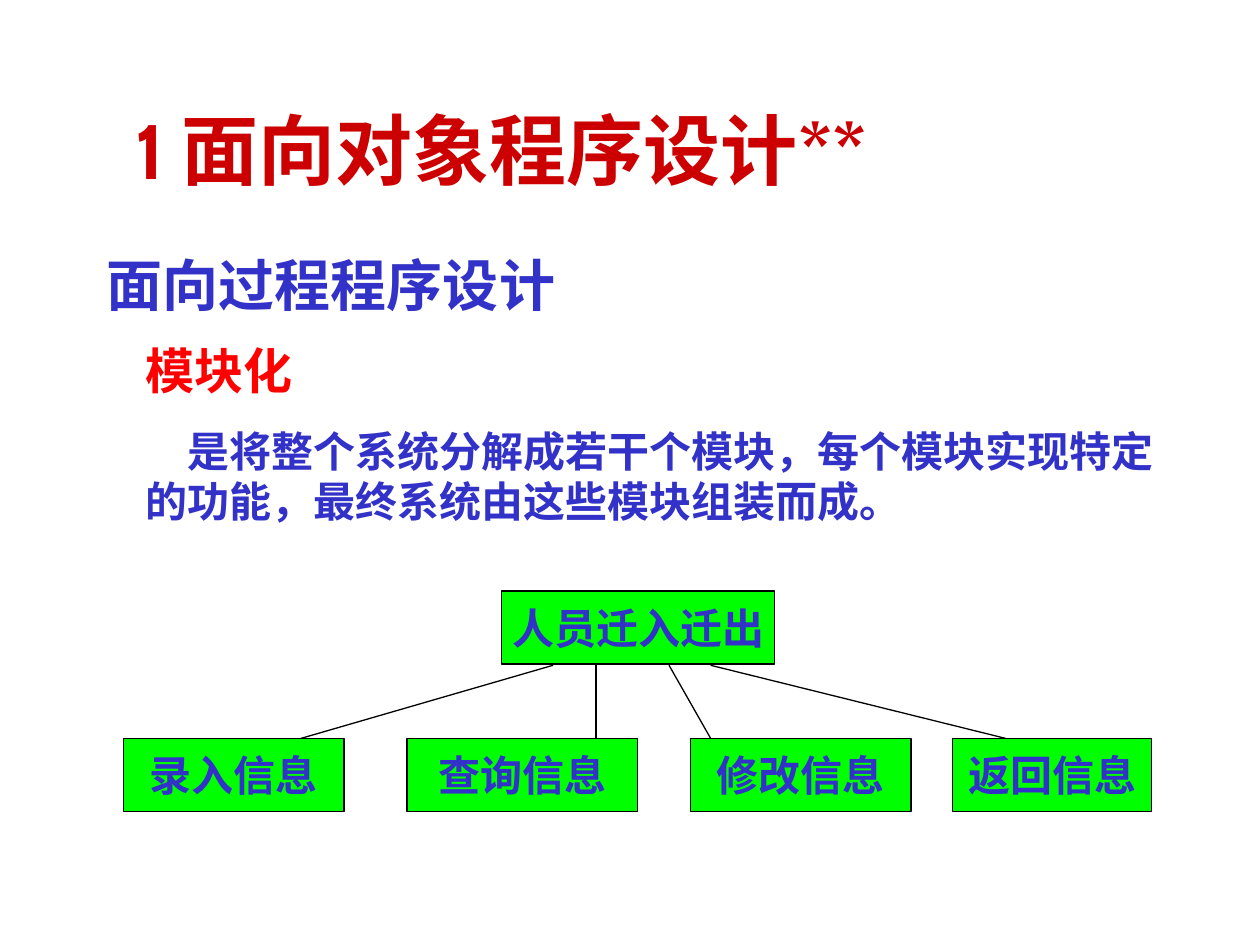
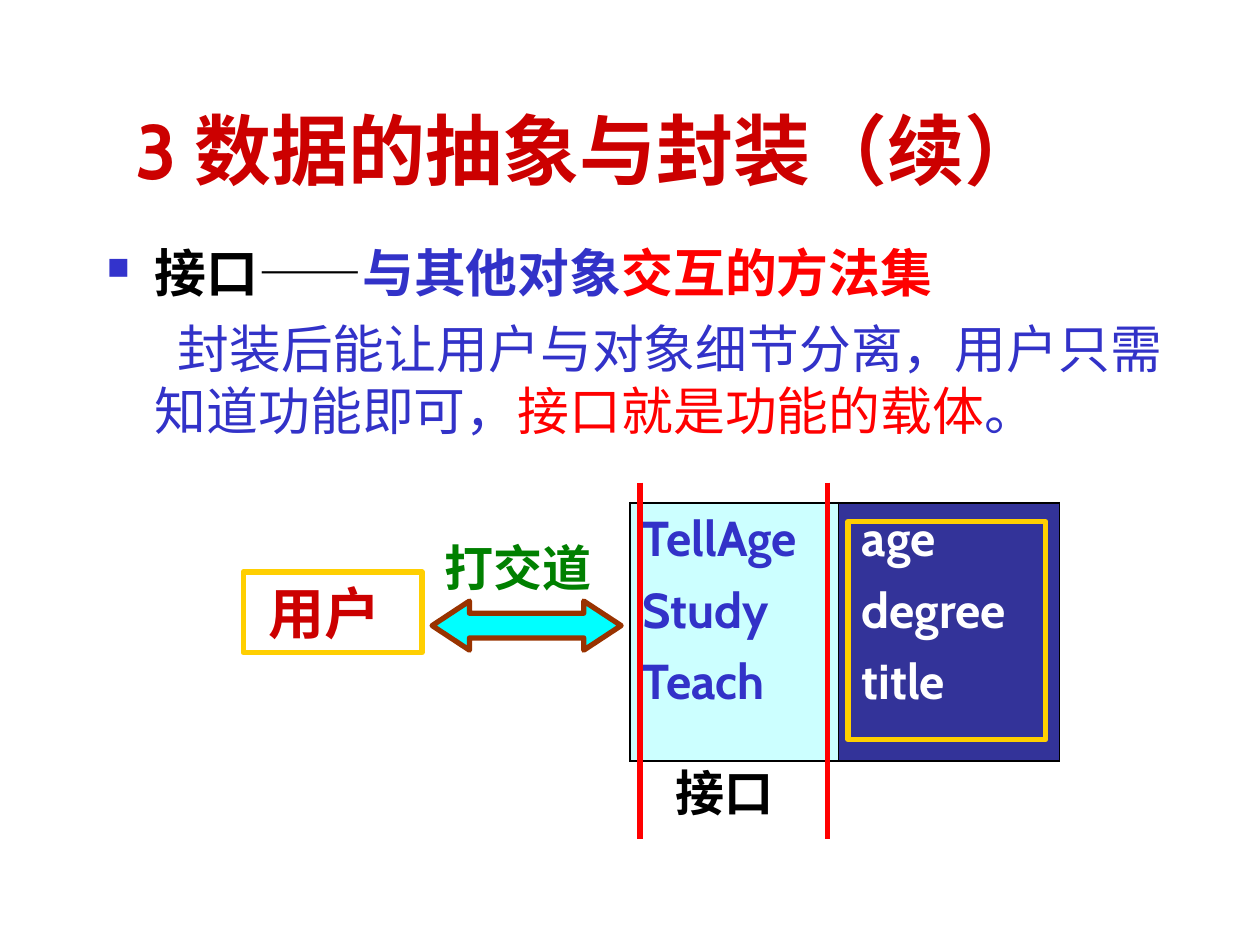
from dataclasses import dataclass

from lxml import etree
from pptx import Presentation
from pptx.dml.color import RGBColor
from pptx.enum.shapes import MSO_CONNECTOR, MSO_SHAPE
from pptx.enum.text import MSO_ANCHOR, PP_ALIGN
from pptx.oxml.ns import qn
from pptx.util import Inches, Pt

RECTANGLE = MSO_SHAPE.RECTANGLE
DOUBLE_ARROW = MSO_SHAPE.LEFT_RIGHT_ARROW
STRAIGHT = MSO_CONNECTOR.STRAIGHT
TOP, MIDDLE, BOTTOM = MSO_ANCHOR.TOP, MSO_ANCHOR.MIDDLE, MSO_ANCHOR.BOTTOM
LEFT, CENTER = PP_ALIGN.LEFT, PP_ALIGN.CENTER


@dataclass(frozen=True)
class Theme:
    # Fonts
    sans: str = "Cabin"
    serif: str = "Times New Roman"
    # Colours
    title: str = "CC0000"
    text: str = "3232C8"
    bullet: str = "3333CC"
    accent: str = "FF0000"
    black: str = "000000"
    white: str = "FFFFFF"
    module: str = "00FF00"
    label: str = "008000"
    methods: str = "CCFFFF"
    data: str = "333399"
    frame: str = "FFCF01"
    arrow: str = "00FFFF"
    arrow_edge: str = "993300"
    # Type sizes and line widths in points
    title_size: float = 44
    heading_size: float = 32
    body_size: float = 29.6
    term_size: float = 28
    detail_size: float = 24
    thin: float = 0.75
    thick: float = 3


THEME = Theme()


def color(value):
    return RGBColor.from_string(value)


# Text
def add_span(para, text, *, size=THEME.term_size, ink=THEME.text,
             font=THEME.sans, bold=True):
    span = para.add_run()
    span.text = text
    span.font.size = Pt(size)
    span.font.name = font
    span.font.bold = bold
    span.font.color.rgb = color(ink)


def add_para(frame, text="", *, first=False, before=0, align=LEFT, margin=0,
             indent=0, **span_format):
    para = frame.paragraphs[0] if first else frame.add_paragraph()
    para.alignment = align
    if before:
        para.space_before = Pt(before)
    properties = para._p.get_or_add_pPr()
    properties.set("marL", str(Inches(margin)))
    properties.set("indent", str(Inches(indent)))
    if text:
        add_span(para, text, **span_format)
    return para


def add_bullet(para, mark, ink, percent):
    properties = para._p.get_or_add_pPr()
    bullet_color = etree.SubElement(properties, qn("a:buClr"))
    etree.SubElement(bullet_color, qn("a:srgbClr"), val=ink)
    etree.SubElement(properties, qn("a:buSzPct"), val=str(percent * 1000))
    etree.SubElement(properties, qn("a:buChar"), char=mark)


def add_text_box(page, left, top, width, height, anchor=TOP):
    frame = page.shapes.add_textbox(Inches(left), Inches(top), Inches(width),
                                    Inches(height)).text_frame
    frame.word_wrap = True
    frame.vertical_anchor = anchor
    return frame


def add_page(deck, title):
    page = deck.slides.add_slide(deck.slide_layouts[6])
    frame = add_text_box(page, 0.98, 0.6, 8.52, 1, BOTTOM)
    add_para(frame, title, first=True, size=THEME.title_size, ink=THEME.title)
    return page


# Shapes
def add_box(page, left, top, width, height, *, kind=RECTANGLE, fill=None,
            edge=THEME.black, weight=THEME.thin):
    box = page.shapes.add_shape(kind, Inches(left), Inches(top),
                                Inches(width), Inches(height))
    box.shadow.inherit = False
    if fill:
        box.fill.solid()
        box.fill.fore_color.rgb = color(fill)
    else:
        box.fill.background()
    box.line.color.rgb = color(edge)
    box.line.width = Pt(weight)
    return box


def add_module(page, text, left, top, width):
    frame = add_box(page, left, top, width, 0.58, fill=THEME.module).text_frame
    frame.word_wrap = False
    frame.vertical_anchor = MIDDLE
    add_para(frame, text, first=True, align=CENTER, size=THEME.detail_size,
             font=THEME.serif)


def add_line(page, start, end, ink=THEME.black, weight=THEME.thin):
    line = page.shapes.add_connector(STRAIGHT, *map(Inches, start + end))
    line.line.color.rgb = color(ink)
    line.line.width = Pt(weight)
    etree.SubElement(line._element.spPr, qn("a:effectLst"))


# Table
def set_borders(cell, **widths):
    properties = cell._tc.get_or_add_tcPr()
    for position, side in enumerate("LRTB"):
        border = etree.Element(qn(f"a:ln{side}"), w=str(Pt(widths[side])))
        fill = etree.SubElement(border, qn("a:solidFill"))
        etree.SubElement(fill, qn("a:srgbClr"), val=THEME.black)
        properties.insert(position, border)


def add_object_table(page, left, top, height, columns):
    outer, inner = 1.08, 0.45
    total = sum(width for width, *_ in columns)
    table = page.shapes.add_table(1, len(columns), Inches(left), Inches(top),
                                  Inches(total), Inches(height)).table
    table.first_row = table.horz_banding = False
    for index, (width, names, fill, ink, margin) in enumerate(columns):
        table.columns[index].width = Inches(width)
        cell = table.cell(0, index)
        cell.fill.solid()
        cell.fill.fore_color.rgb = color(fill)
        for row, name in enumerate(names):
            add_para(cell.text_frame, name, first=row == 0,
                     before=7 if row else 0, margin=margin, ink=ink)
        set_borders(cell, L=inner if index else outer,
                    R=outer if index == len(columns) - 1 else inner,
                    T=outer, B=outer)


# Pages
def build_modules_page(deck):
    page = add_page(deck, "1 面向对象程序设计**")
    frame = add_text_box(page, 1.06, 2.65, 8.43, 1.58)
    add_para(frame, "模块化", first=True, ink=THEME.accent)
    add_para(frame, "是将整个系统分解成若干个模块，每个模块实现特定的功能，"
             "最终系统由这些模块组装而成。", before=15, indent=0.33,
             size=THEME.detail_size)
    heading = add_text_box(page, 0.75, 1.94, 5.83, 0.64)
    add_para(heading, "面向过程程序设计", first=True,
             size=THEME.heading_size, font=THEME.serif)

    # Module tree: each branch runs from the parent to one child
    parent_bottom, child_top = 5.28, 5.86
    add_module(page, "人员迁入迁出", 3.98, 4.69, 2.17)
    children = [
        ("录入信息", 0.98, 1.75, 4.39, 2.39),
        ("查询信息", 3.23, 1.83, 4.73, 4.73),
        ("修改信息", 5.48, 1.75, 5.31, 5.64),
        ("返回信息", 7.56, 1.58, 5.64, 7.98),
    ]
    for text, left, width, branch_start, branch_end in children:
        add_module(page, text, left, child_top, width)
        add_line(page, (branch_start, parent_bottom), (branch_end, child_top))


def build_interface_page(deck):
    page = add_page(deck, "3 数据的抽象与封装（续）")
    frame = add_text_box(page, 0.75, 1.86, 8.58, 2.05)
    size = THEME.body_size

    # Definition and explanation
    definition = add_para(frame, first=True, margin=0.38, indent=-0.38)
    add_bullet(definition, "■", THEME.bullet, 60)
    add_span(definition, "接口", size=size, ink=THEME.black)
    add_span(definition, "——", size=size, ink=THEME.black, bold=False)
    add_span(definition, "与其他对象", size=size)
    add_span(definition, "交互的方法集", size=size, ink=THEME.accent)
    explanation = add_para(frame, before=8, margin=0.38, indent=0.18)
    for text, ink in [
        ("封装后能让用户与对象细节分离，用户只需知道功能即可，", THEME.text),
        ("接口就是功能的载体", THEME.accent),
        ("。", THEME.text),
    ]:
        add_span(explanation, text, size=size, ink=ink, bold=False)

    # Object with its methods and its data
    add_object_table(page, 5, 3.99, 2.05, [
        (1.65, ["TellAge", "Study", "Teach"], THEME.methods, THEME.text, 0),
        (1.76, ["age", "degree", "title"], THEME.data, THEME.white, 0.09),
    ])
    framed = {"edge": THEME.frame, "weight": THEME.thick}
    add_box(page, 6.73, 4.14, 1.57, 1.73, **framed)

    # User and the exchange with the object
    user = add_box(page, 1.93, 4.54, 1.42, 0.64, **framed).text_frame
    user.word_wrap = True
    user.vertical_anchor = TOP
    add_para(user, "用户", first=True, margin=0.1, size=THEME.heading_size,
             ink=THEME.title)
    arrow = add_box(page, 3.43, 4.77, 1.5, 0.39, kind=DOUBLE_ARROW,
                    fill=THEME.arrow, edge=THEME.arrow_edge,
                    weight=THEME.thick)
    arrow.adjustments[0] = 0.5
    arrow.adjustments[1] = 0.76
    exchange = add_text_box(page, 3.43, 4.22, 1.42, 0.57)
    add_para(exchange, "打交道", first=True, ink=THEME.label)

    # Interface limits
    for x in (6.57, 5.08):
        add_line(page, (x, 3.83), (x, 6.66), THEME.accent, THEME.thick)
    interface = add_text_box(page, 5.16, 6, 1.18, 0.57)
    add_para(interface, "接口", first=True, margin=0.1, ink=THEME.black)


def main():
    deck = Presentation()
    deck.slide_width = Inches(10)
    deck.slide_height = Inches(7.5)
    build_modules_page(deck)
    build_interface_page(deck)
    deck.save("out.pptx")


if __name__ == "__main__":
    main()
